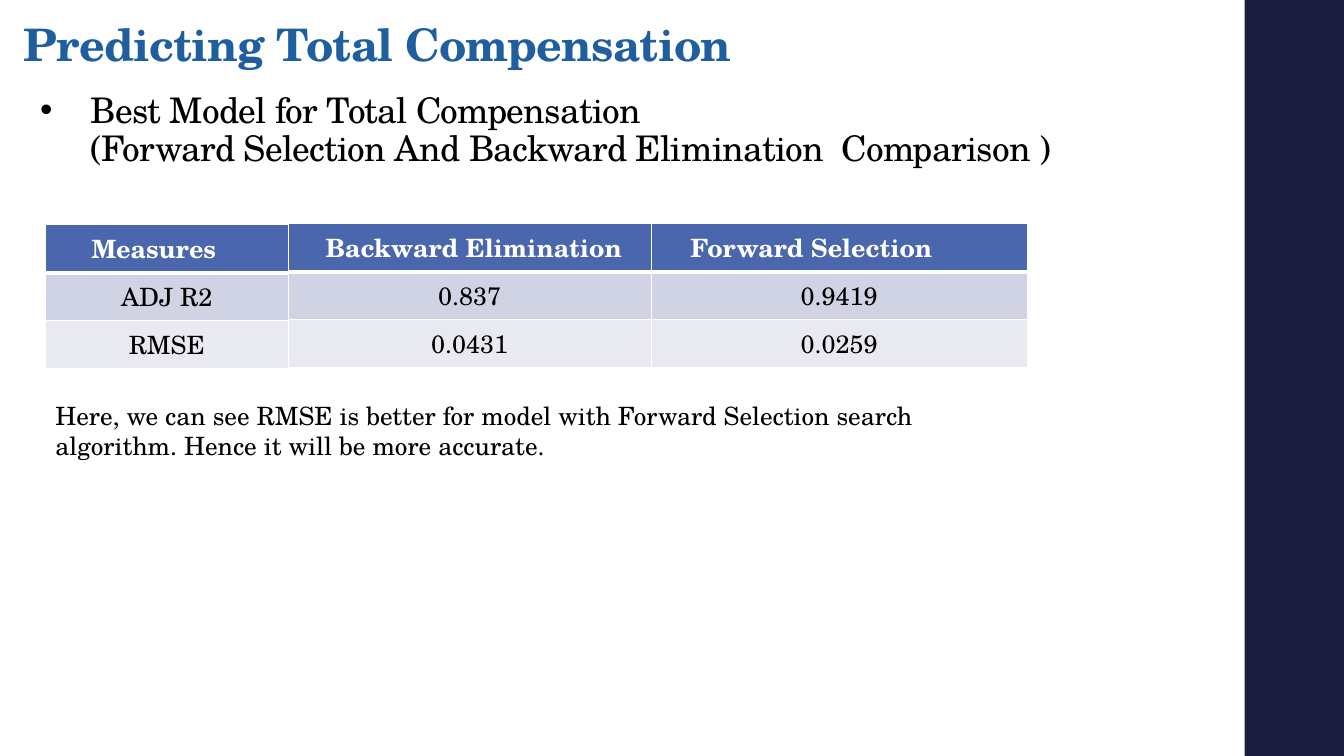
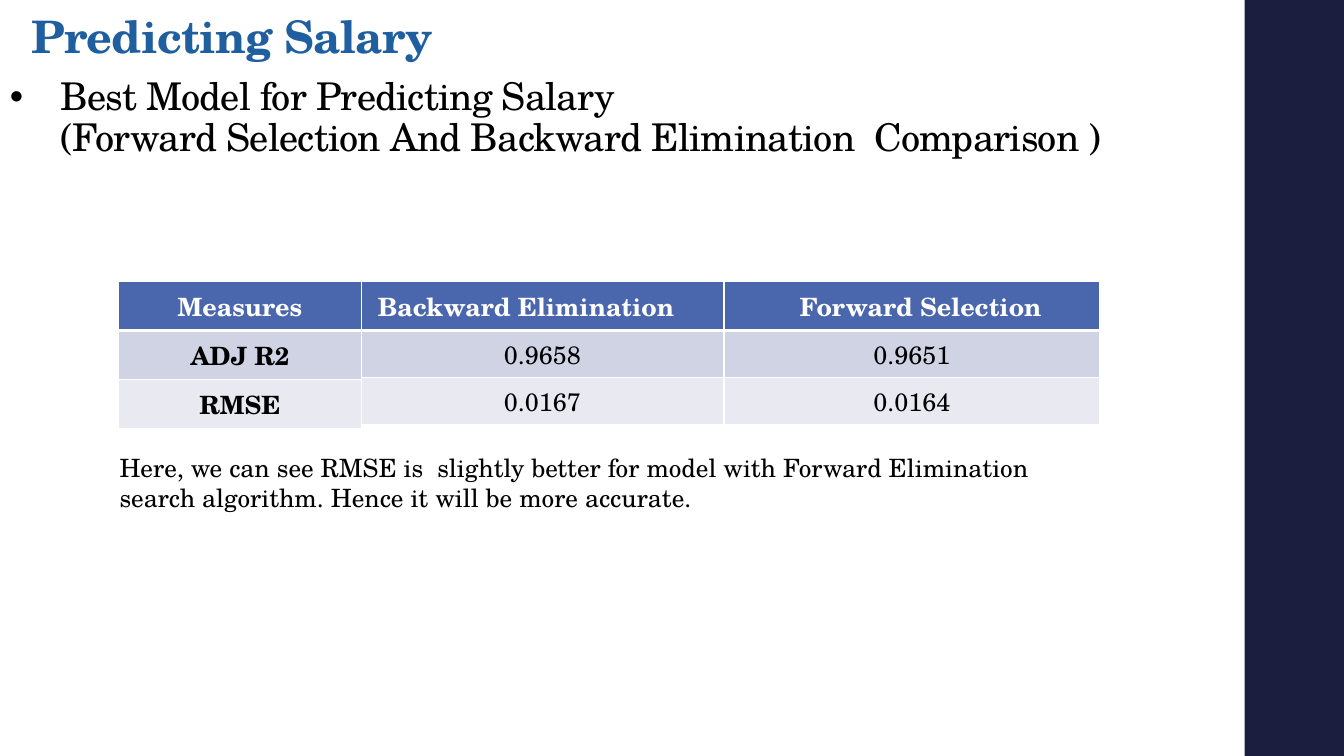
from lxml.etree import SubElement
from pptx import Presentation
from pptx.dml.color import RGBColor
from pptx.enum.shapes import MSO_SHAPE
from pptx.enum.text import MSO_ANCHOR, MSO_AUTO_SIZE, PP_ALIGN
from pptx.oxml.ns import qn
from pptx.util import Pt

FONT = "TeX Gyre Schola"
WHITE, BLACK, TITLE_BLUE, NAVY = "FFFFFF", "000000", "1F5FA0", "1B1E3E"
ROW_FILLS = ["4A66AC", "D0D3E3", "E9EAF1"]
MEASURE_WIDTHS = [173.5]
MODEL_WIDTHS = [259.2, 268.6]
MODELS = ["Backward Elimination", "Forward Selection"]
COMPARISON = "(Forward Selection And Backward Elimination  Comparison )"
LEFT, CENTER = PP_ALIGN.LEFT, PP_ALIGN.CENTER
INSET = 7.2

# Boxes are left, top, width, height in points; corners are left, top.
# Each header has an alignment and a left indent.
SLIDES = [
    {
        "title": "Predicting Total Compensation",
        "title_box": (9.4, 20.5, 763, 34),
        "bullet": ["Best Model for Total Compensation ", COMPARISON],
        "bullet_box": (21.6, 56.7, 814, 67.5),
        "bullet_size": 25.2,
        "row_height": 34,
        "measure_corner": (32.4, 160),
        "measure_headers": [(LEFT, 33)],
        "measures_bold": False,
        "model_corner": (205.9, 159.3),
        "model_headers": [(CENTER, 13), (LEFT, 28)],
        "values": [["0.837", "0.9419"], ["0.0431", "0.0259"]],
        "note": "Here, we can see RMSE is better for model with Forward Selection "
                "search algorithm. Hence it will be more accurate.",
        "note_box": (32.5, 282.3, 688, 51),
    },
    {
        "title": "Predicting Salary",
        "title_box": (15, 0, 847, 49),
        "bullet": ["Best Model for Predicting Salary ", COMPARISON],
        "bullet_box": (0, 50.5, 814, 67.5),
        "bullet_size": 27.3,
        "row_height": 29,
        "measure_corner": (84.7, 201),
        "measure_headers": [(CENTER, INSET)],
        "measures_bold": True,
        "model_corner": (257.9, 201),
        "model_headers": [(LEFT, 12), (LEFT, 54)],
        "values": [["0.9658", "0.9651"], ["0.0167", "0.0164"]],
        "note": "Here, we can see RMSE is  slightly better for model with Forward Elimination "
                "search algorithm. Hence it will be more accurate.",
        "note_box": (78.3, 319.7, 688, 51),
    },
]


def color(hex_string):
    return RGBColor.from_string(hex_string)


def add_run(paragraph, text, size, hex_color, bold=False, spacing=None):
    run = paragraph.add_run()
    run.text = text
    run.font.name = FONT
    run.font.size = Pt(size)
    run.font.bold = bold
    run.font.color.rgb = color(hex_color)
    if spacing is not None:
        run.font._element.set("spc", str(round(spacing * 100)))


def set_frame(text_frame, anchor):
    text_frame.word_wrap = True
    text_frame.auto_size = MSO_AUTO_SIZE.NONE
    text_frame.vertical_anchor = anchor
    paragraph = text_frame.paragraphs[0]
    paragraph.alignment = LEFT
    return paragraph


def add_text_box(slide, box, anchor):
    shape = slide.shapes.add_textbox(*map(Pt, box))
    return set_frame(shape.text_frame, anchor)


def add_side_band(slide):
    band = slide.shapes.add_shape(MSO_SHAPE.RECTANGLE, Pt(889), 0, Pt(71), Pt(540))
    band.shadow.inherit = False
    band.fill.solid()
    band.fill.fore_color.rgb = color(NAVY)
    band.line.fill.background()


def set_title(slide, text, box):
    title = slide.shapes.title
    title.left, title.top, title.width, title.height = map(Pt, box)
    paragraph = set_frame(title.text_frame, MSO_ANCHOR.BOTTOM)
    paragraph.line_spacing = 0.9
    add_run(paragraph, text, 32, TITLE_BLUE, bold=True, spacing=-0.5)


def add_bullet(slide, lines, box, size):
    paragraph = add_text_box(slide, box, MSO_ANCHOR.BOTTOM)
    paragraph.line_spacing = 0.9
    properties = paragraph._p.get_or_add_pPr()
    properties.set("marL", str(Pt(36)))
    properties.set("indent", str(-Pt(36)))
    SubElement(properties, qn("a:buFont"), typeface="Arial")
    SubElement(properties, qn("a:buChar"), char="•")
    for index, line in enumerate(lines):
        if index:
            paragraph.add_line_break()
        add_run(paragraph, line, size, BLACK, spacing=-0.5)


def set_borders(cell, bottom):
    properties = cell._tc.get_or_add_tcPr()
    for tag, width in (("lnL", 1), ("lnR", 1), ("lnT", 1), ("lnB", bottom)):
        line = SubElement(properties, qn(f"a:{tag}"), w=str(Pt(width)))
        fill = SubElement(line, qn("a:solidFill"))
        SubElement(fill, qn("a:srgbClr"), val=WHITE)


def add_data_table(slide, rows, corner, widths, row_height, headers, body_bold=False):
    box = (*corner, sum(widths), row_height * len(rows))
    table = slide.shapes.add_table(len(rows), len(widths), *map(Pt, box)).table
    for column, width in zip(table.columns, widths):
        column.width = Pt(width)

    for row_index, values in enumerate(rows):
        table.rows[row_index].height = Pt(row_height)
        is_header = row_index == 0
        for column_index, value in enumerate(values):
            cell = table.cell(row_index, column_index)
            set_borders(cell, 3 if is_header else 1)
            cell.fill.solid()
            cell.fill.fore_color.rgb = color(ROW_FILLS[row_index])
            alignment, indent = headers[column_index] if is_header else (CENTER, INSET)
            cell.margin_left = Pt(indent)
            paragraph = cell.text_frame.paragraphs[0]
            paragraph.alignment = alignment
            add_run(paragraph, value, 18, WHITE if is_header else BLACK,
                    bold=is_header or body_bold)


def main():
    presentation = Presentation()
    presentation.slide_width, presentation.slide_height = Pt(960), Pt(540)
    layout = presentation.slide_layouts[5]  # title only

    for data in SLIDES:
        slide = presentation.slides.add_slide(layout)
        add_side_band(slide)
        set_title(slide, data["title"], data["title_box"])
        add_bullet(slide, data["bullet"], data["bullet_box"], data["bullet_size"])

        # Model values, with the measure names in a table to their left
        add_data_table(slide, [MODELS] + data["values"], data["model_corner"],
                       MODEL_WIDTHS, data["row_height"], data["model_headers"])
        add_data_table(slide, [["Measures"], ["ADJ R2"], ["RMSE"]], data["measure_corner"],
                       MEASURE_WIDTHS, data["row_height"], data["measure_headers"],
                       data["measures_bold"])

        # Conclusion
        note = add_text_box(slide, data["note_box"], MSO_ANCHOR.TOP)
        add_run(note, data["note"], 18, BLACK)

    presentation.save("out.pptx")


if __name__ == "__main__":
    main()
